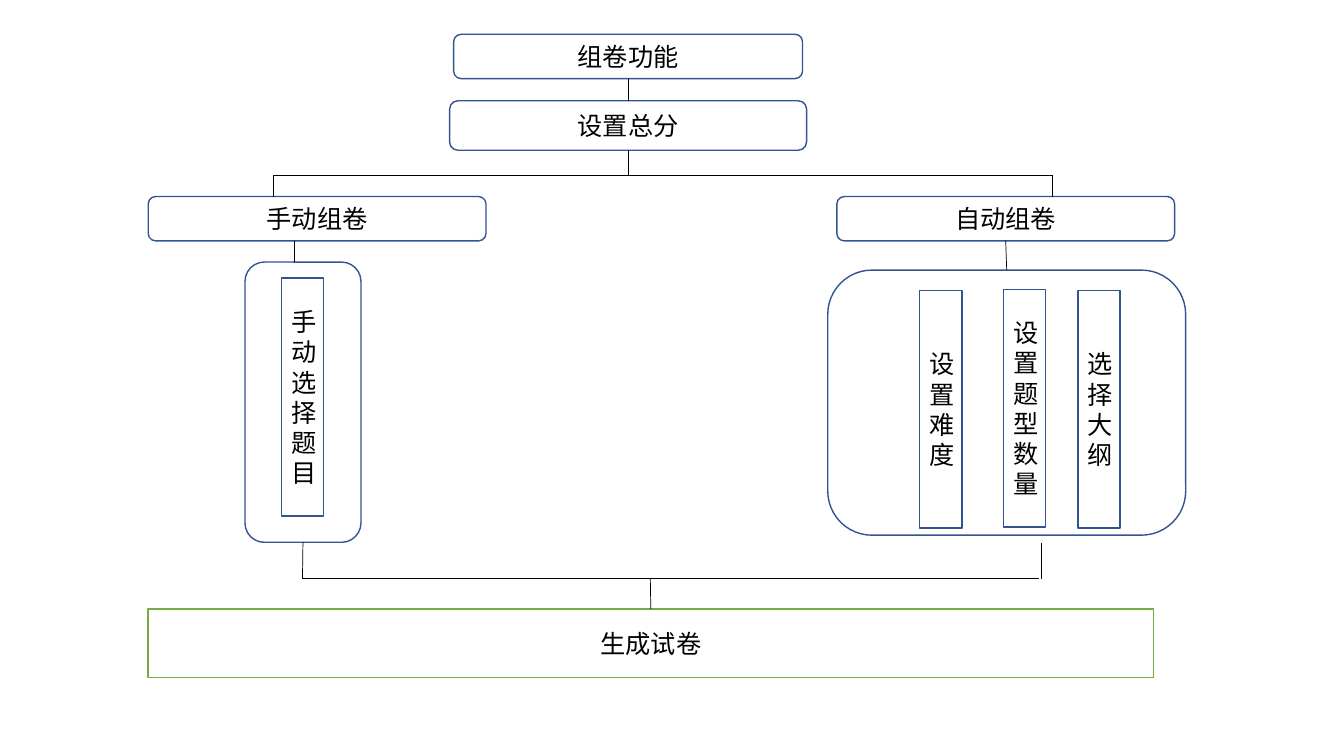
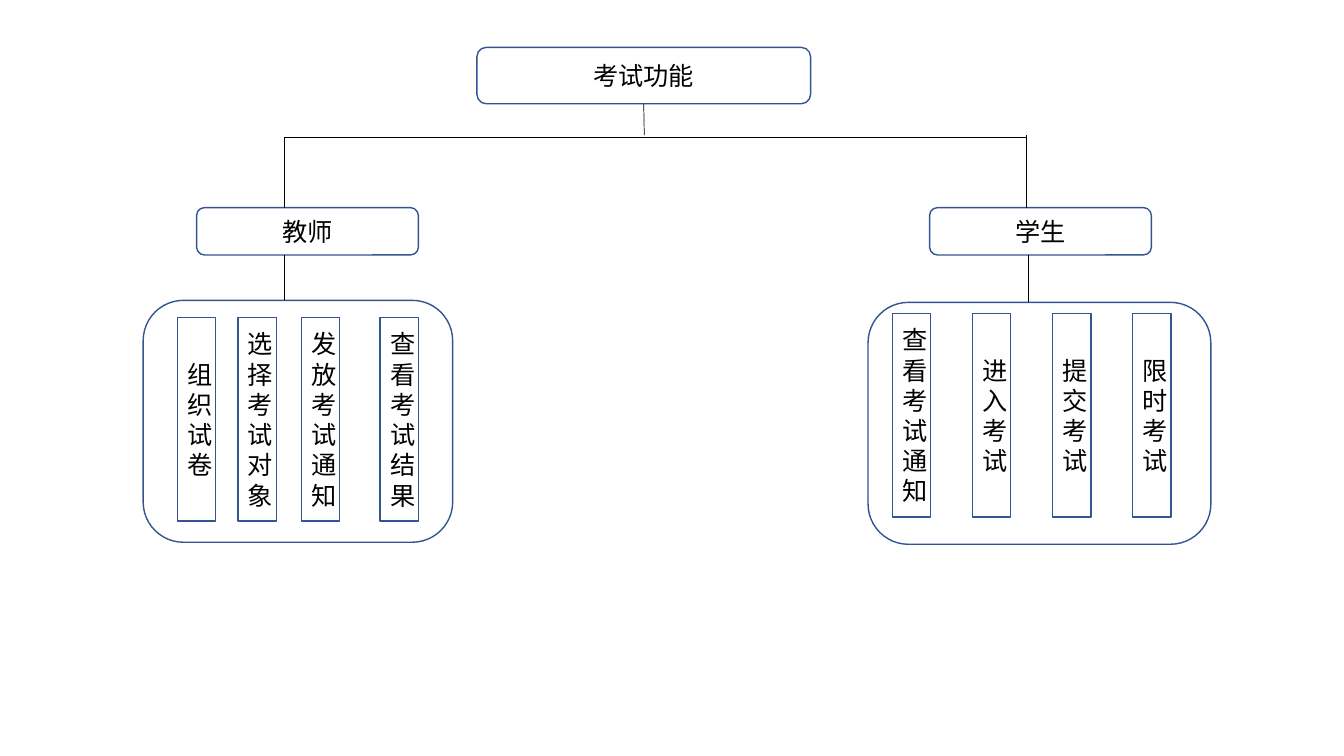
from lxml import etree
from pptx import Presentation
from pptx.dml.color import RGBColor
from pptx.enum.shapes import MSO_CONNECTOR, MSO_SHAPE
from pptx.enum.text import MSO_ANCHOR, PP_ALIGN
from pptx.oxml.ns import qn
from pptx.util import Inches, Pt

RECT = MSO_SHAPE.RECTANGLE
ROUND = MSO_SHAPE.ROUNDED_RECTANGLE
STRAIGHT = MSO_CONNECTOR.STRAIGHT
CENTER = PP_ALIGN.CENTER
MIDDLE = MSO_ANCHOR.MIDDLE
BLANK = 6
TOP, BOTTOM = 0, 2  # connection sites


def colour(code):
    return RGBColor.from_string(code)


class Chart:
    """Style and current slide; lengths are grid cells of a tenth of an inch."""

    CELL = Inches(0.1)
    FONT, SIZE = "Noto Sans CJK SC", Pt(18)
    BLUE, GREEN, BLACK = "325491", "70AD47", "000000"
    OUTLINE, THIN = Pt(1), Pt(0.5)

    def __init__(self):
        self.deck = Presentation()
        self.deck.slide_width = Inches(13.33)
        self.deck.slide_height = Inches(7.5)
        self.page = None

    def new_page(self):
        self.page = self.deck.slides.add_slide(self.deck.slide_layouts[BLANK])

    def cells(self, *counts):
        return [round(count * self.CELL) for count in counts]

    def box(self, left, top, width, height, text="", kind=ROUND, edge=BLUE):
        """Outlined box with centred text."""
        shape = self.page.shapes.add_shape(
            kind, *self.cells(left, top, width, height))
        shape.shadow.inherit = False
        shape.fill.background()
        shape.line.color.rgb = colour(edge)
        shape.line.width = self.OUTLINE
        if text:
            self.label(shape.text_frame, text)
        return shape

    def label(self, frame, text):
        frame.word_wrap = True
        frame.vertical_anchor = MIDDLE
        para = frame.paragraphs[0]
        para.text = text
        para.alignment = CENTER
        para.font.name = self.FONT
        para.font.size = self.SIZE
        para.font.color.rgb = colour(self.BLACK)
        # The East Asian typeface has no public setter
        latin = next(para._p.iter(qn("a:latin")))
        east_asian = etree.Element(qn("a:ea"), typeface=self.FONT)
        latin.addnext(east_asian)

    def bars(self, top, width, height, items):
        """Narrow boxes whose text runs down, one character a line."""
        for left, text in items:
            self.box(left, top, width, height, text, RECT)

    def point(self, end):
        """Place of an end: (column, row) or (shape, connection site)."""
        shape, site = end
        if isinstance(shape, (int, float)):
            return self.cells(*end)
        drop = shape.height if site == BOTTOM else 0
        return [shape.left + shape.width // 2, shape.top + drop]

    def line(self, start, finish):
        link = self.page.shapes.add_connector(
            STRAIGHT, *self.point(start), *self.point(finish))
        for end, join in ((start, link.begin_connect),
                          (finish, link.end_connect)):
            if not isinstance(end[0], (int, float)):
                join(*end)
        link.line.color.rgb = colour(self.BLACK)
        link.line.width = self.THIN
        etree.SubElement(link._element.spPr, qn("a:effectLst"))


def paper_page(chart):
    chart.new_page()

    # Heading and the two ways to compose
    heading = chart.box(45, 3.4, 34.6, 4.4, "组卷功能")
    total = chart.box(44.6, 10, 35.4, 4.9, "设置总分")
    chart.box(14.7, 19.5, 33.5, 4.4, "手动组卷")
    automatic = chart.box(83, 19.5, 33.5, 4.4, "自动组卷")

    # Steps inside their frames
    manual_frame = chart.box(24.3, 26, 11.5, 27.8)
    automatic_frame = chart.box(82.1, 26.8, 35.5, 26.3)
    chart.bars(27.6, 4.2, 23.6, [(27.9, "手动选择题目")])
    chart.bars(28.8, 4.2, 23.6, [(91.2, "设置难度"), (106.9, "选择大纲")])
    chart.bars(28.7, 4.2, 23.6, [(99.5, "设置题型数量")])
    result = chart.box(14.7, 60.4, 99.7, 6.8, "生成试卷", RECT, chart.GREEN)

    # Upper branches
    chart.line((heading, BOTTOM), (total, TOP))
    chart.line((total, BOTTOM), (62.3, 17.5))
    chart.line((27.1, 17.4), (104.4, 17.4))
    for column in (27.1, 104.4):
        chart.line((column, 17.4), (column, 19.5))
    chart.line((29.2, 23.9), (29.2, 26))
    chart.line((automatic, BOTTOM), (automatic_frame, TOP))

    # Lower branches meet at the result
    chart.line((manual_frame, BOTTOM), (30, 57.4))
    chart.line((30, 57.4), (103, 57.4))
    chart.line((103.3, 57.4), (103.3, 53.9))
    chart.line((result, TOP), (64.5, 57.4))


def exam_page(chart):
    chart.new_page()

    # Heading and roles
    heading = chart.box(47.3, 4.7, 33.1, 5.6, "考试功能")
    for left, role in ((19.5, "教师"), (92.2, "学生")):
        chart.box(left, 20.6, 22, 4.7, role)

    # Functions of each role
    chart.box(14.2, 29.8, 30.7, 24)
    chart.box(86.1, 30, 34, 24)
    chart.bars(31.5, 3.8, 20.2, [
        (17.6, "组织试卷"), (23.6, "选择考试对象"),
        (29.9, "发放考试通知"), (37.7, "查看考试结果")])
    student = ("查看考试通知", "进入考试", "提交考试", "限时考试")
    chart.bars(31.1, 3.8, 20.2, [
        (88.5 + 7.95 * index, text) for index, text in enumerate(student)])

    # Branches
    chart.line((heading, BOTTOM), (63.9, 13.4))
    chart.line((28.2, 13.6), (101.8, 13.6))
    chart.line((28.2, 13.6), (28.2, 20.6))
    chart.line((101.8, 13.4), (101.8, 20.6))
    chart.line((28.2, 25.3), (28.2, 29.8))
    chart.line((102, 25.3), (102, 30))


def main():
    chart = Chart()
    paper_page(chart)
    exam_page(chart)
    chart.deck.save("out.pptx")


if __name__ == "__main__":
    main()
